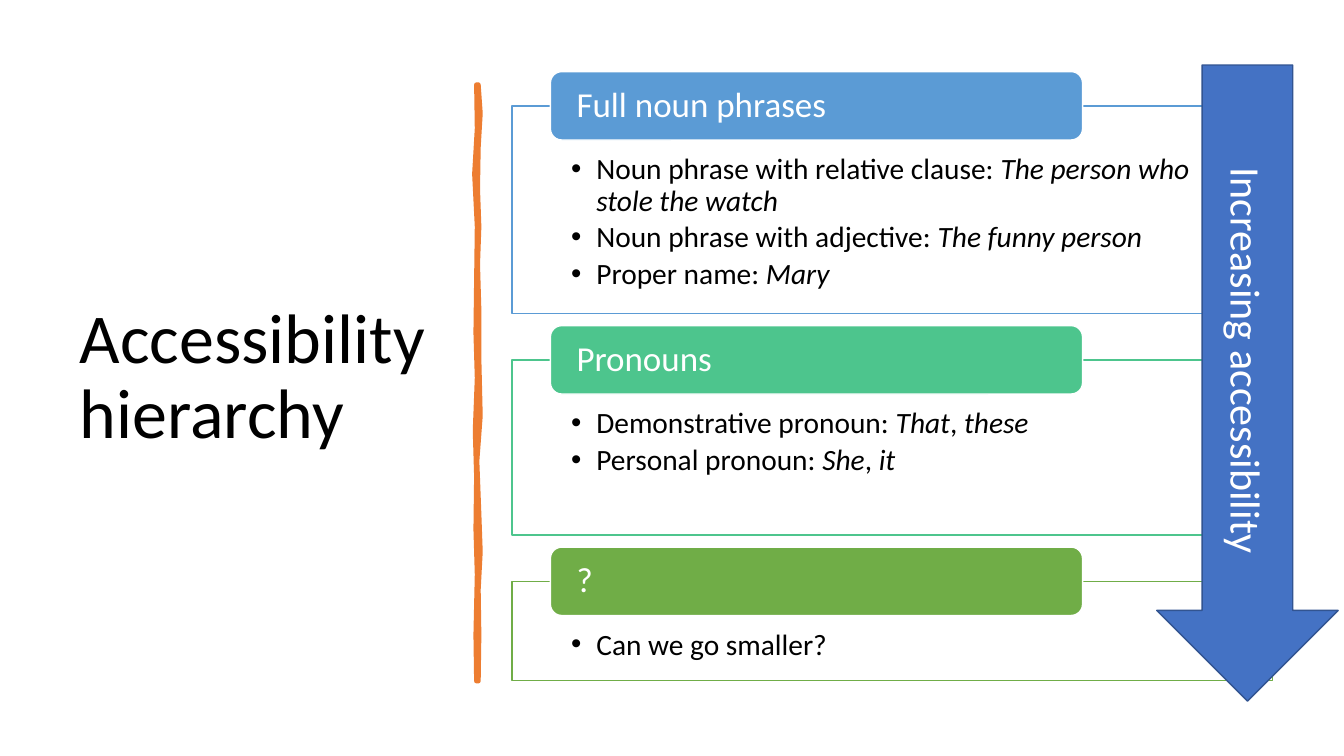
"""Build the accessibility hierarchy slide."""
from dataclasses import dataclass

from lxml.etree import SubElement
from pptx import Presentation
from pptx.dml.color import RGBColor as Rgb
from pptx.enum.shapes import MSO_SHAPE as Kind
from pptx.enum.text import MSO_ANCHOR as Anchor, PP_ALIGN as Align
from pptx.oxml.ns import qn
from pptx.util import Inches, Pt

WIDE, HIGH = Inches(13.333), Inches(7.5)


@dataclass(frozen=True)
class Theme:
    """Colours, font and type sizes of the slide."""
    font: str = "Calibri"
    ink: str = "000000"
    paper: str = "FFFFFF"
    brush: str = "ED7D31"
    arrow: str = "4472C4"
    edge: str = "325491"
    title: int = 50
    label: int = 30
    head: int = 25
    body: int = 21


THEME = Theme()
CARDS = [
    ("Full noun phrases", "5B9BD5", 27.5, [
        "Noun phrase with relative clause: *The person who stole the watch",
        "Noun phrase with adjective: *The funny person",
        "Proper name: *Mary"]),
    ("Pronouns", "4DC58D", 23.2, [
        "Demonstrative pronoun: *That*, *these",
        "Personal pronoun: *She*, *it"]),
    ("?", "70AD47", 13.1, ["Can we go smaller?"]),
]
CARD_X, CARD_W, CARD_TOP, CARD_GAP = 38.1, 56.6, 14, 6.1
TAB_X, TAB_W, TAB_H = 40.95, 39.6, 9.05
RIGHT = [(11.2, 35.6), (15, 35.75), (19.5, 35.6), (25, 35.55), (30, 35.65),
         (35, 35.55), (41, 35.65), (47.5, 35.65), (55, 35.75), (61, 35.5),
         (68, 35.65), (73, 35.75), (78, 35.6), (84, 35.65), (90.1, 35.6)]
LEFT = [(90.1, 35.45), (84, 35.4), (76, 35.5), (70, 35.4), (63, 35.45),
        (57, 35.35), (50, 35.5), (44, 35.4), (37, 35.45), (30, 35.5),
        (23, 35.3), (17, 35.5), (11.2, 35.45)]


def across(part):
    """Turn a percentage of the slide's width into a length."""
    return int(WIDE * part / 100)


def down(part):
    """Turn a percentage of the slide's height into a length."""
    return int(HIGH * part / 100)


def place(x, y, w, h):
    """Return a box given in percentages as lengths."""
    return across(x), down(y), across(w), down(h)


def paint(shape, fill, line, width=1):
    """Give a shape a flat fill and outline."""
    shape.shadow.inherit = False
    shape.fill.solid()
    shape.fill.fore_color.rgb = Rgb.from_string(fill)
    shape.line.color.rgb = Rgb.from_string(line)
    shape.line.width = Pt(width)


def style(para, size, color, align=Align.LEFT, lead=0.9):
    """Format a paragraph and its runs."""
    para.alignment = align
    para.line_spacing = lead
    for run in para.runs:
        run.font.name = THEME.font
        run.font.size = Pt(size)
        run.font.color.rgb = Rgb.from_string(color)


def pad(frame, left, top, right, low):
    """Set the insets of a frame in percentages."""
    frame.margin_left, frame.margin_right = across(left), across(right)
    frame.margin_top, frame.margin_bottom = down(top), down(low)
    frame.word_wrap = True


def add_box(slide, kind, box, fill, line):
    """Add a painted preset shape."""
    shape = slide.shapes.add_shape(kind, *place(*box))
    paint(shape, fill, line)
    return shape


def add_item(para, text):
    """Write a bulleted line in which each star toggles italics."""
    props = para._p.get_or_add_pPr()
    props.set("marL", str(Inches(0.25)))
    props.set("indent", str(-Inches(0.25)))
    SubElement(props, qn("a:buFont")).set("typeface", "Arial")
    SubElement(props, qn("a:buChar")).set("char", "•")
    for turn, part in enumerate(text.split("*")):
        run = para.add_run()
        run.text = part
        run.font.italic = turn % 2 == 1
    para.space_after = Pt(3.5)
    style(para, THEME.body, THEME.ink)


def add_card(slide, top, head, color, tall, items):
    """Add a framed list with its heading tab."""
    card = add_box(slide, Kind.RECTANGLE, (CARD_X, top, CARD_W, tall),
                   THEME.paper, color)
    frame = card.text_frame
    pad(frame, 4.4, 6.4, 4.4, 2.1)
    frame.vertical_anchor = Anchor.TOP
    for spot, text in enumerate(items):
        add_item(frame.add_paragraph() if spot else frame.paragraphs[0], text)
    tab = add_box(slide, Kind.ROUNDED_RECTANGLE,
                  (TAB_X, top - TAB_H / 2, TAB_W, TAB_H), color, THEME.paper)
    frame = tab.text_frame
    frame.text = head
    pad(frame, 1.7, 0, 1.7, 0)
    frame.vertical_anchor = Anchor.MIDDLE
    style(frame.paragraphs[0], THEME.head, THEME.paper)


def add_title(slide, text):
    """Fill and move the title placeholder."""
    title = slide.shapes.title
    title.left, title.top, title.width, title.height = place(
        5.18, 9.33, 28.05, 81.47)
    title.text_frame.text = text
    title.text_frame.word_wrap = True
    title.text_frame.vertical_anchor = Anchor.MIDDLE
    style(title.text_frame.paragraphs[0], THEME.title, THEME.ink)


def add_brush(slide):
    """Draw the uneven upright stroke."""
    dots = [(across(x), down(y)) for y, x in RIGHT + LEFT]
    pen = slide.shapes.build_freeform(*dots[0])
    pen.add_line_segments(dots[1:], close=True)
    paint(pen.convert_to_shape(), THEME.brush, THEME.brush, 3.25)


def add_arrow(slide, text):
    """Add the labelled arrow that points down."""
    arrow = add_box(slide, Kind.RIGHT_ARROW, (69.15, 38.67, 47.33, 24),
                    THEME.arrow, THEME.edge)
    arrow.rotation = 90
    arrow.text_frame.text = text
    arrow.text_frame.vertical_anchor = Anchor.MIDDLE
    style(arrow.text_frame.paragraphs[0], THEME.label, THEME.paper,
          Align.CENTER, 1.0)


def main():
    """Build and save the slide."""
    deck = Presentation()
    deck.slide_width, deck.slide_height = WIDE, HIGH
    slide = deck.slides.add_slide(deck.slide_layouts.get_by_name("Title Only"))
    add_title(slide, "Accessibility hierarchy")
    add_brush(slide)
    top = CARD_TOP
    for head, color, tall, items in CARDS:
        add_card(slide, top, head, color, tall, items)
        top += tall + CARD_GAP
    add_arrow(slide, "Increasing accessibility")
    deck.save("out.pptx")


if __name__ == "__main__":
    main()
